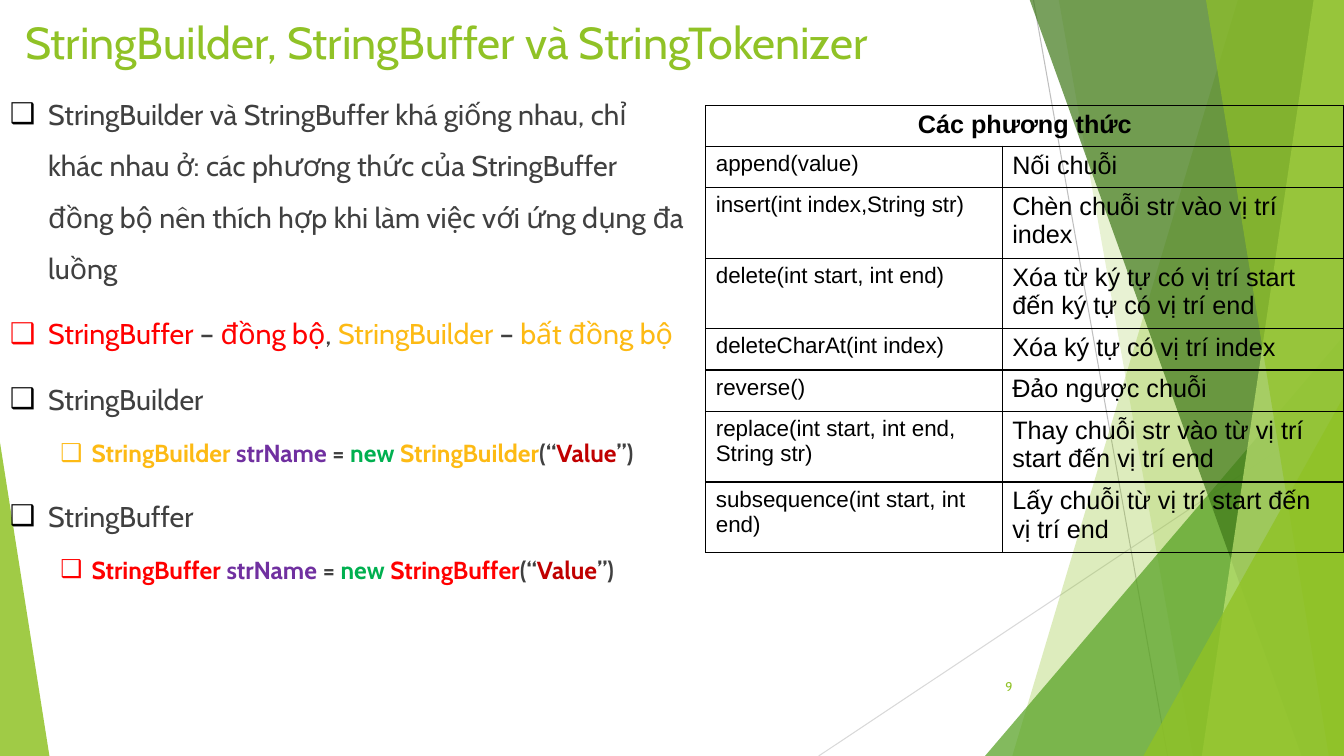
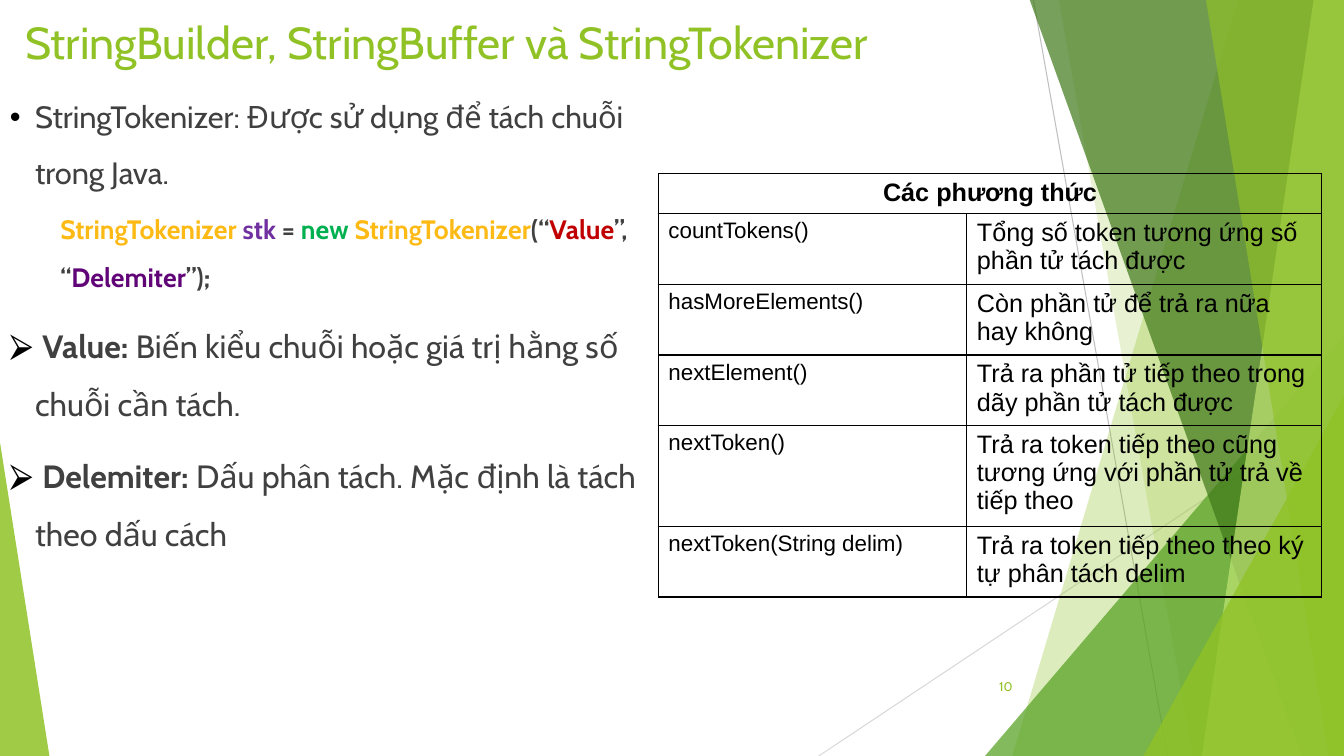
from lxml import etree
from pptx import Presentation
from pptx.dml.color import RGBColor
from pptx.enum.shapes import MSO_CONNECTOR as CONN, MSO_SHAPE as SHAPE
from pptx.enum.text import MSO_ANCHOR as ANCHOR, PP_ALIGN as ALIGN
from pptx.oxml import parse_xml
from pptx.oxml.ns import nsdecls, qn
from pptx.util import Inches, Pt

LIME = RGBColor(0x90, 0xC2, 0x26)
GREEN = RGBColor(0x54, 0xA0, 0x21)
FOREST = RGBColor(0x3F, 0x78, 0x19)
PALE = RGBColor(0xC0, 0xE4, 0x74)
SILVER = RGBColor(0xBF, 0xBF, 0xBF)
MIST = RGBColor(0xD9, 0xD9, 0xD9)
BLACK = RGBColor(0, 0, 0)
GREY = RGBColor(0x40, 0x40, 0x40)
RED = RGBColor(0xFF, 0, 0)
DARK_RED = RGBColor(0xC0, 0, 0)
AMBER = RGBColor(0xFD, 0xBA, 0x14)
PURPLE = RGBColor(0x70, 0x30, 0xA0)
VIOLET = RGBColor(0x60, 0x04, 0x77)
KEYWORD = RGBColor(0, 0xB0, 0x50)

WIDTH, HEIGHT = 13.33, 7.5
TEXT_FONT, TABLE_FONT = "Cabin", "Arial"
TITLE = "StringBuilder, StringBuffer và StringTokenizer"
TABLE_HEAD = "Các phương thức"

RAYS = [
    ((10.25, 0), (11.58, HEIGHT), SILVER),
    ((WIDTH, 4.03), (8.12, HEIGHT), MIST),
]
FACETS = [
    ("band", (12.28, 10.04), LIME, 30),
    ("band", (10.5, 11.83), LIME, 20),
    ("triangle", (9.77, 3.33, 3.56, 1), GREEN, 72),
    ("band", (10.21, 12.91), FOREST, 70),
    ("band", (13.03, 11.92), PALE, 70),
    ("band", (11.96, 13.18), LIME, 65),
    ("triangle", (11.34, 3.93, 1.99, 1), LIME, 80),
    ("triangle", (0, 4.39, 0.49, 0), LIME, 85),
]


def declaration(kind, kind_color, name, *rest):
    return [(kind + " ", kind_color), (name + " ", PURPLE), ("= ", GREY),
            ("new ", KEYWORD), (kind, kind_color), ("(“", GREY),
            ("Value", DARK_RED), *rest]


def item(runs, size, bullet=None, color=BLACK, indent=(0.38, -0.38),
         before=10, bold=False, level=0):
    return dict(runs=runs, size=size, bullet=bullet, color=color,
                indent=indent, before=before, bold=bold, level=level)


def square(runs, color=BLACK, before=10):
    return item(runs, 20.4, "❑", color, before=before)


def code(kind, color):
    return item(declaration(kind, color, "strName", ("”)", GREY)), 17.6, "❑",
                color, (0.81, -0.31), 5, True, 1)


def definition(term, meaning):
    return item([(f" {term}: ", GREY, True), (meaning, GREY)], 23, "⮚",
                indent=(0.25, -0.25))


SLIDES = [
    dict(
        number=9, title_width=9.91, body_width=6.9,
        table_at=(7, 1.05), columns=(2.94, 3.39),
        body=[
            square([("StringBuilder và StringBuffer khá giống nhau, chỉ khác "
                     "nhau ở: các phương thức của StringBuffer đồng bộ nên "
                     "thích hợp khi làm việc với ứng dụng đa luồng", GREY)],
                   before=0),
            square([("StringBuffer ", RED), ("– ", GREY), ("đồng bộ", RED),
                    (", ", GREY), ("StringBuilder", AMBER), (" – ", GREY),
                    ("bất đồng bộ", AMBER)], RED),
            square([("StringBuilder", GREY)]),
            code("StringBuilder", AMBER),
            square([("StringBuffer", GREY)]),
            code("StringBuffer", RED),
        ],
        methods=[
            ("append(value)", "Nối chuỗi"),
            ("insert(int index,String str)", "Chèn chuỗi str vào vị trí index"),
            ("delete(int start, int end)",
             "Xóa từ ký tự có vị trí start đến ký tự có vị trí end"),
            ("deleteCharAt(int index)", "Xóa ký tự có vị trí index"),
            ("reverse()", "Đảo ngược chuỗi"),
            ("replace(int start, int end, String str)",
             "Thay chuỗi str vào từ vị trí start đến vị trí end"),
            ("subsequence(int start, int end)",
             "Lấy chuỗi từ vị trí start đến vị trí end"),
        ],
    ),
    dict(
        number=10, title_width=10, body_width=6.53,
        table_at=(6.53, 1.72), columns=(3.06, 3.52),
        body=[
            item([("StringTokenizer: Được sử dụng để tách chuỗi trong Java.",
                   GREY)], 22, "•", indent=(0.25, -0.25), before=0),
            item(declaration("StringTokenizer", AMBER, "stk", ("”, “", GREY),
                             ("Delemiter", VIOLET), ("”);", GREY)),
                 19, indent=(0.5, 0), before=5, bold=True, level=1),
            definition("Value",
                       "Biến kiểu chuỗi hoặc giá trị hằng số chuỗi cần tách."),
            definition("Delemiter",
                       "Dấu phân tách. Mặc định là tách theo dấu cách"),
        ],
        methods=[
            ("countTokens()", "Tổng số token tương ứng số phần tử tách được"),
            ("hasMoreElements()", "Còn phần tử để trả ra nữa hay không"),
            ("nextElement()",
             "Trả ra phần tử tiếp theo trong dãy phần tử tách được"),
            ("nextToken()",
             "Trả ra token tiếp theo cũng tương ứng với phần tử trả về tiếp theo"),
            ("nextToken(String delim)",
             "Trả ra token tiếp theo theo ký tự phân tách delim"),
        ],
    ),
]


def add_run(p, text, color, **fmt):
    r = p.add_run()
    r.text = text
    r.font.color.rgb = color
    for name, value in fmt.items():
        setattr(r.font, name, value)


def add_text_frame(slide, box, anchor):
    tf = slide.shapes.add_textbox(*map(Inches, box)).text_frame
    tf.word_wrap = True
    tf.vertical_anchor = anchor
    return tf


def add_bullet(p, char, color):
    pPr = p._p.get_or_add_pPr()
    clr = etree.SubElement(pPr, qn("a:buClr"))
    etree.SubElement(clr, qn("a:srgbClr"), val=str(color))
    etree.SubElement(pPr, qn("a:buFont"), typeface=TABLE_FONT)
    etree.SubElement(pPr, qn("a:buChar"), char=char)


def add_band(shapes, top_x, bottom_x):
    points = [(top_x, -0.01), (WIDTH, -0.01), (WIDTH, HEIGHT),
              (bottom_x, HEIGHT)]
    start, *rest = [tuple(map(Inches, pt)) for pt in points]
    outline = shapes.build_freeform(*start)
    outline.add_line_segments(rest, close=True)
    return outline.convert_to_shape()


def add_triangle(shapes, left, top, width, apex):
    box = map(Inches, (left, top, width, HEIGHT - top))
    sp = shapes.add_shape(SHAPE.ISOSCELES_TRIANGLE, *box)
    sp.adjustments[0] = apex
    return sp


def add_backdrop(slide):
    shapes = slide.shapes.add_group_shape().shapes
    for start, end, color in RAYS:
        ray = shapes.add_connector(CONN.STRAIGHT, *map(Inches, start + end))
        ray.line.color.rgb = color
        ray.line.width = Pt(0.75)
        etree.SubElement(ray._element.spPr, qn("a:effectLst"))
    makers = {"band": add_band, "triangle": add_triangle}
    for kind, geometry, color, opacity in FACETS:
        sp = makers[kind](shapes, *geometry)
        sp.shadow.inherit = False
        sp.line.fill.background()
        sp.fill.solid()
        sp.fill.fore_color.rgb = color
        clr = sp._element.spPr.find(".//" + qn("a:srgbClr"))
        etree.SubElement(clr, qn("a:alpha"), val=str(opacity * 1000))


def add_title(slide, box):
    p = add_text_frame(slide, box, ANCHOR.MIDDLE).paragraphs[0]
    p.line_spacing = 0.9
    add_run(p, TITLE, LIME, name=TEXT_FONT, size=Pt(32))


def add_page_number(slide, box, number):
    p = add_text_frame(slide, box, ANCHOR.MIDDLE).paragraphs[0]
    p.alignment = ALIGN.RIGHT
    add_run(p, str(number), LIME, name=TEXT_FONT, size=Pt(9))


def add_body(slide, box, items):
    tf = add_text_frame(slide, box, ANCHOR.TOP)
    for i, entry in enumerate(items):
        p = tf.add_paragraph() if i else tf.paragraphs[0]
        fmt = dict(level=entry["level"], line_spacing=1.5,
                   space_before=Pt(entry["before"]))
        for name, value in fmt.items():
            setattr(p, name, value)
        pPr = p._p.get_or_add_pPr()
        for name, value in zip(("marL", "indent"), entry["indent"]):
            pPr.set(name, str(Inches(value)))
        if entry["bullet"]:
            add_bullet(p, entry["bullet"], entry["color"])
        for text, color, *bold in entry["runs"]:
            add_run(p, text, color, name=TEXT_FONT, size=Pt(entry["size"]),
                    bold=bold[0] if bold else entry["bold"])


def add_borders(cell):
    tcPr = cell._tc.get_or_add_tcPr()
    for i, side in enumerate("LRTB"):
        tcPr.insert(i, parse_xml(
            f'<a:ln{side} {nsdecls("a")} w="12700"><a:solidFill>'
            f'<a:srgbClr val="{BLACK}"/></a:solidFill></a:ln{side}>'))


def add_method_table(slide, origin, columns, methods):
    heights = [0.25] + [0.41] * len(methods)
    box = (*origin, sum(columns), sum(heights))
    table = slide.shapes.add_table(len(heights), len(columns),
                                   *map(Inches, box)).table
    table.first_row = table.horz_banding = False
    for column, width in zip(table.columns, columns):
        column.width = Inches(width)
    for row, height in zip(table.rows, heights):
        row.height = Inches(height)
    table.cell(0, 0).merge(table.cell(0, 1))
    for i, texts in enumerate([(TABLE_HEAD, ""), *methods]):
        for j, text in enumerate(texts):
            cell = table.cell(i, j)
            cell.fill.background()
            add_borders(cell)
            if text:
                p = cell.text_frame.paragraphs[0]
                p.alignment = ALIGN.LEFT if i else ALIGN.CENTER
                add_run(p, text, BLACK, name=TABLE_FONT, bold=i == 0,
                        size=Pt(16 if i and j == 0 else 18))


def add_method_slide(prs, content):
    slide = prs.slides.add_slide(prs.slide_layouts[6])
    add_backdrop(slide)
    add_title(slide, (0.15, 0.16, content["title_width"], 0.58))
    add_body(slide, (0, 0.74, content["body_width"], 6.16), content["body"])
    add_page_number(slide, (9.39, 6.61, 0.75, 0.4), content["number"])
    add_method_table(slide, content["table_at"], content["columns"],
                     content["methods"])


def main():
    prs = Presentation()
    prs.slide_width, prs.slide_height = Inches(WIDTH), Inches(HEIGHT)
    for content in SLIDES:
        add_method_slide(prs, content)
    prs.save("out.pptx")


if __name__ == "__main__":
    main()
